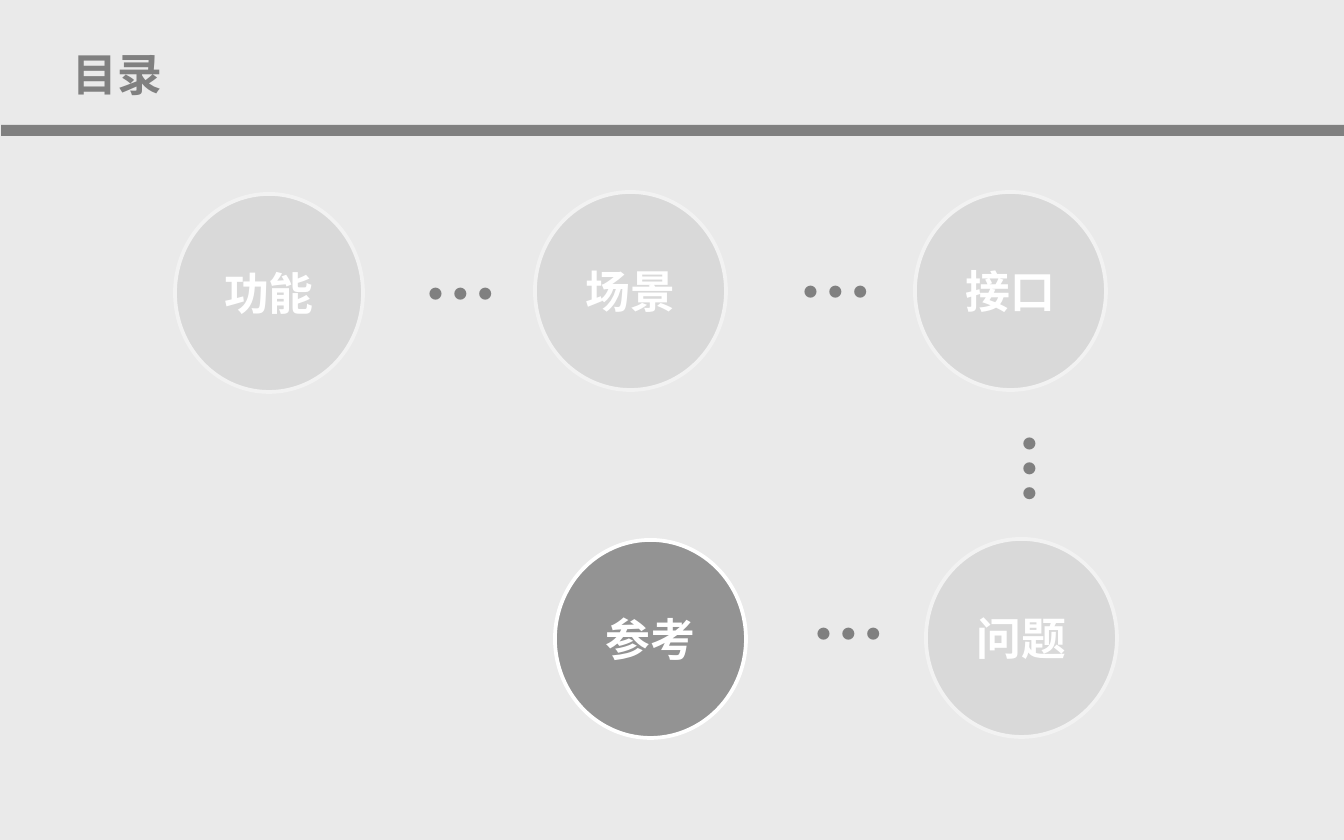
from lxml import etree
from pptx import Presentation, util as u
from pptx.dml.color import RGBColor
from pptx.enum import shapes, text
from pptx.oxml.ns import qn

# Content, in pixels
SCALE = u.Inches(10) / 1344
SANS, GREY, PALE, WHITE = "Noto Sans CJK SC", "808080", "D9D9D9", "FFFFFF"
TITLE = "目录"
# label, left, top, width, active
STEPS = [
    ("功能", 175, 194, 188, False),
    ("场景", 535, 192, 191, False),
    ("接口", 915, 192, 191, False),
    ("问题", 926, 539, 191, False),
    ("参考", 555, 540, 191, True),
]
STEP_H = 198
# left, top, rotation
DOTS = [(410, 241, 0), (785, 239, 0), (988, 410, 90), (798, 581, 0)]
DOT_W, DOT_H = 86, 103


def box(*nums):
    return [round(n * SCALE) for n in nums]


def rgb(code):
    return RGBColor.from_string(code)


def write(shape, words, size, color, font):
    frame = shape.text_frame
    frame.word_wrap = True
    frame.text = words
    para = frame.paragraphs[0]
    para.alignment = text.PP_ALIGN.CENTER
    run = para.runs[0]
    run.font.size, run.font.bold, run.font.name = u.Pt(size), True, font
    run.font.color.rgb = rgb(color)
    east = etree.SubElement(run.font._element, qn("a:ea"))
    east.set("typeface", SANS)
    return frame


def draw(kind, place, fill, line=None):
    shape = slide.shapes.add_shape(kind, *box(*place))
    shape.shadow.inherit = False
    shape.fill.solid()
    shape.fill.fore_color.rgb = rgb(fill)
    if line:
        shape.line.color.rgb = rgb(line)
        shape.line.width = u.Pt(2)
    else:
        shape.line.fill.background()
    return shape


def label(place, words, size):
    area = slide.shapes.add_textbox(*box(*place))
    frame = write(area, words, size, GREY, SANS)
    frame.auto_size = text.MSO_AUTO_SIZE.SHAPE_TO_FIT_TEXT
    return area


deck = Presentation()
deck.slide_width, deck.slide_height = box(1344, 840)
slide = deck.slides.add_slide(deck.slide_layouts[6])
slide.background.fill.solid()
slide.background.fill.fore_color.rgb = rgb("EAEAEA")

# Heading and rule
draw(shapes.MSO_SHAPE.RECTANGLE, (1, 125, 1343, 11), GREY)
frame = label((1, 47, 233, 54), TITLE, 24).text_frame
frame.vertical_anchor = text.MSO_ANCHOR.MIDDLE
frame.margin_left = frame.margin_right = 0
frame.margin_top = frame.margin_bottom = 0

# Dots between steps
for left, top, turn in DOTS:
    label((left, top, DOT_W, DOT_H), "…", 40).rotation = turn

# Steps
for words, left, top, width, active in STEPS:
    fill, line = (GREY, WHITE) if active else (PALE, "F2F2F2")
    disc = draw(shapes.MSO_SHAPE.OVAL, (left, top, width, STEP_H), fill, line)
    write(disc, words, 24, WHITE, "Arial").vertical_anchor = text.MSO_ANCHOR.MIDDLE
    if active:
        color = disc._element.spPr.find(qn("a:solidFill"))[0]
        etree.SubElement(color, qn("a:alpha")).set("val", "81000")

deck.save("out.pptx")
